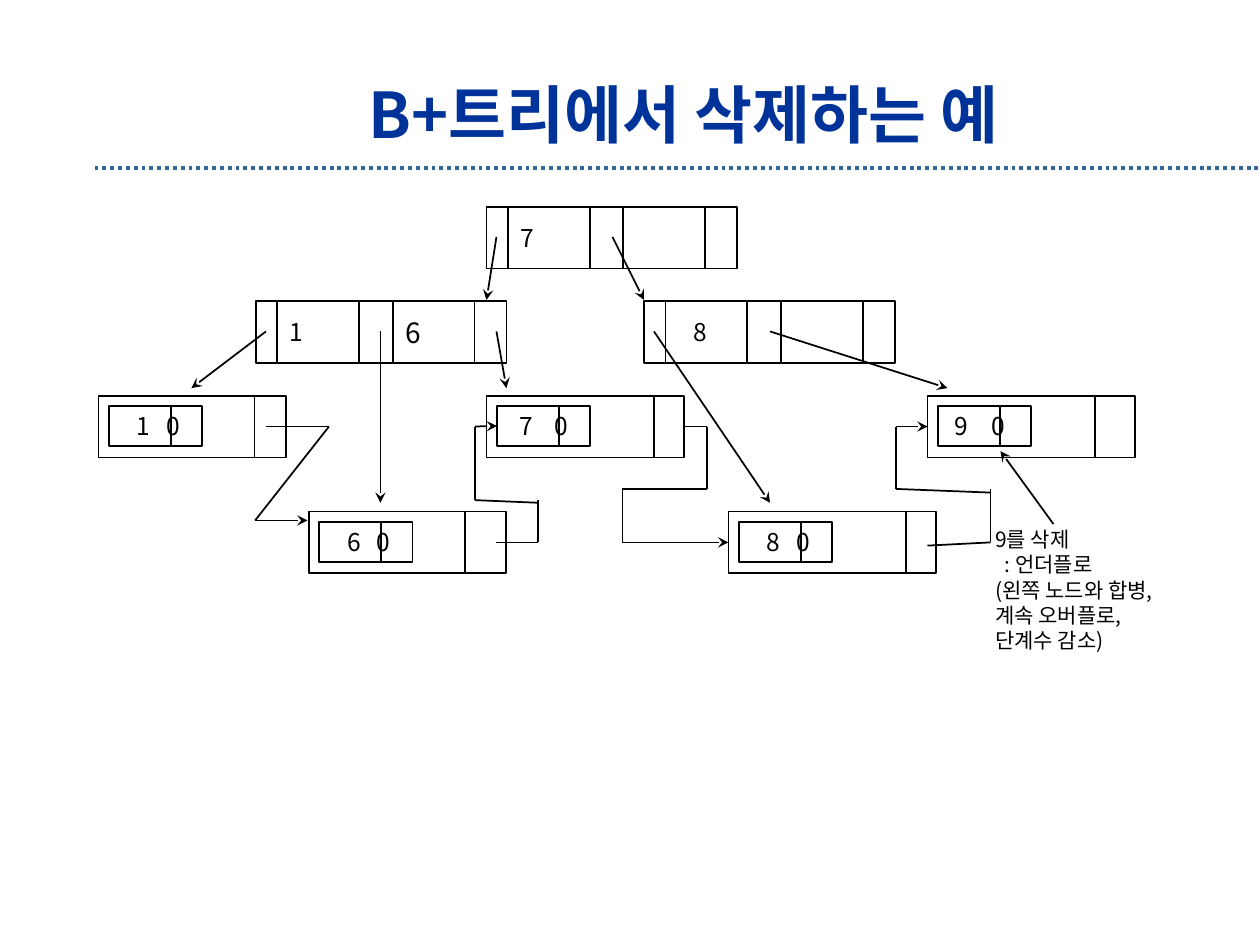
from itertools import pairwise

from lxml import etree
from pptx import Presentation
from pptx import util as u
from pptx.dml import color
from pptx.enum import dml, shapes, text
from pptx.oxml import ns

FONT = "Noto Sans CJK KR"
BLACK, WHITE, TITLE, RULE = "000000", "FFFFFF", "003399", "336699"

# Tops of the tree levels and common sizes
ROOT_Y, INNER_Y, LEAF_Y, LOW_LEAF_Y = 118.1, 172.1, 226.1, 292.3
NODE_H = 35.3
INNER_W, KEY_W = 143.3, 46.8


def rgb(value):
    return color.RGBColor.from_string(value)


def style(p, size, hex_color=BLACK, bold=False):
    for r in p.runs:
        f = r.font
        f.size, f.name, f.bold = u.Pt(size), FONT, bold
        f.color.rgb = rgb(hex_color)
        etree.SubElement(r._r.get_or_add_rPr(), ns.qn("a:ea"), typeface=FONT)


def add_box(s, x, y, w, h):
    sp = s.shapes.add_shape(shapes.MSO_SHAPE.RECTANGLE,
                            u.Pt(x), u.Pt(y), u.Pt(w), u.Pt(h))
    sp.shadow.inherit = False
    sp.fill.solid()
    sp.fill.fore_color.rgb = rgb(WHITE)
    sp.line.color.rgb = rgb(BLACK)
    sp.line.width = u.Pt(1)
    return sp


def add_key(sp, label, size=14, inset=7.2, tab=None):
    tf = sp.text_frame
    tf.text = label
    tf.margin_left, tf.margin_right = u.Pt(inset), 0
    tf.margin_top = tf.margin_bottom = u.Pt(3.6)
    tf.vertical_anchor = text.MSO_ANCHOR.MIDDLE
    p = tf.paragraphs[0]
    p.alignment = text.PP_ALIGN.LEFT
    if tab:
        tabs = etree.SubElement(p._p.get_or_add_pPr(), ns.qn("a:tabLst"))
        etree.SubElement(tabs, ns.qn("a:tab"), pos=str(u.Pt(tab)), algn="l")
    style(p, size)


def add_line(s, start, end, hex_color=BLACK, width=1, arrow=False):
    c = s.shapes.add_connector(shapes.MSO_CONNECTOR.STRAIGHT,
                               *(u.Pt(v) for v in (*start, *end)))
    c.line.color.rgb = rgb(hex_color)
    c.line.width = u.Pt(width)
    if arrow:
        etree.SubElement(c.line._get_or_add_ln(), ns.qn("a:tailEnd"), type="stealth")
    etree.SubElement(c._element.spPr, ns.qn("a:effectLst"))
    return c


def add_chain(s, *points, arrow=False, source=None, target=None):
    """Straight segments through the points; source and target are (shape, side)."""
    segments = list(pairwise(points))
    lines = [add_line(s, a, b, arrow=arrow and i == len(segments))
             for i, (a, b) in enumerate(segments, 1)]
    if source:
        lines[0].begin_connect(*source)
    if target:
        lines[-1].end_connect(*target)


def add_inner_node(s, x, y, keys):
    add_box(s, x, y, INNER_W, NODE_H)
    for i, (label, size, inset) in enumerate(keys):
        key = add_box(s, x + 12.2 + 66 * i, y, KEY_W, NODE_H)
        if label:
            add_key(key, label, size, inset)


def add_leaf(s, x, y, w, divider, label, inset, tab):
    leaf = add_box(s, x, y, w, NODE_H)
    record = add_box(s, x + 6, y + 5.8, 53.3, 23)
    add_key(record, label, inset=inset, tab=tab)
    for dx, dy, h in ((divider, -0.5, 36), (41.4, 5.5, 24)):
        add_line(s, (x + dx, y + dy), (x + dx, y + dy + h))
    return leaf, record


def add_title(s, label):
    sp = s.shapes.title
    sp.left, sp.top, sp.width, sp.height = (u.Pt(v) for v in (134.6, 39.6, 512, 50.4))
    tf = sp.text_frame
    tf.text = label
    tf.word_wrap = True
    tf.vertical_anchor = text.MSO_ANCHOR.MIDDLE
    tf.paragraphs[0].alignment = text.PP_ALIGN.CENTER
    style(tf.paragraphs[0], 36, TITLE, bold=True)


def add_note(s, lines):
    sp = s.shapes.add_textbox(u.Pt(561.6), u.Pt(297.4), u.Pt(112.3), u.Pt(79.2))
    tf = sp.text_frame
    tf.text = "\n".join(lines)
    tf.word_wrap = False
    tf.auto_size = text.MSO_AUTO_SIZE.SHAPE_TO_FIT_TEXT
    for p in tf.paragraphs:
        style(p, 12)
    tf.paragraphs[1]._p.get_or_add_pPr().set("marL", str(u.Pt(5.4)))


def main():
    prs = Presentation()
    prs.slide_width, prs.slide_height = u.Pt(720), u.Pt(540)
    s = prs.slides.add_slide(prs.slide_layouts[5])

    # Title and dotted rule
    add_title(s, "B+트리에서 삭제하는 예")
    rule = add_line(s, (54, 95.8), (720, 95.8), RULE, 2.25)
    rule.line.dash_style = dml.MSO_LINE.ROUND_DOT

    # Root and inner nodes
    empty = ("", 14, 7.2)
    add_inner_node(s, 278, ROOT_Y, [("7", 14, 7.2), empty])
    add_inner_node(s, 146.2, INNER_Y, [("1", 14, 7.2), ("6", 16, 7.2)])
    add_inner_node(s, 368, INNER_Y, [("8", 14, 16), empty])

    # Leaves
    add_leaf(s, 56.2, LEAF_Y, 107.3, 89.3, "1\t0", 16, 17)
    add_leaf(s, 176.4, LOW_LEAF_Y, 113, 89.3, "6\t0", 16, 17)
    leaf_70, record_70 = add_leaf(s, 278, LEAF_Y, 113, 95.8, "7\t0", 13, 20)
    leaf_80, _ = add_leaf(s, 416.2, LOW_LEAF_Y, 118.8, 101.5, "8\t0", 16, 17)
    leaf_90, _ = add_leaf(s, 530, LEAF_Y, 118.8, 95.8, "9\t0", 9.5, 21)

    # Child pointers, and the pointer from the note to the deleted key
    for start, end in (
        ((283.7, 135.4), (278, 171.4)),
        ((350, 135.4), (368, 171.4)),
        ((152, 189.4), (109.4, 221.8)),
        ((217.4, 189.4), (217.4, 287.3)),
        ((283.7, 189.4), (289.4, 221.8)),
        ((373.7, 189.4), (440, 287.3)),
        ((440, 189.4), (541.4, 221.8)),
        ((602, 299.5), (571.7, 257.8)),
    ):
        add_line(s, start, end, arrow=True)

    # Links between neighbouring leaves
    mid, low_mid = LEAF_Y + NODE_H / 2, LOW_LEAF_Y + NODE_H / 2
    add_chain(s, (152, mid), (188, mid), (145.8, 297.4), (175.7, 297.4), arrow=True)
    add_chain(s, (283.7, low_mid), (307.4, low_mid), (307.4, 285.8))
    add_chain(s, (307.4, 287.3), (271.4, 285.8), (271.4, mid), (284, mid),
              arrow=True, target=(record_70, 1))
    add_chain(s, (391, mid), (404, mid), (404, 279.4), (355.7, 279.4),
              (355.7, low_mid), (416.2, low_mid),
              arrow=True, source=(leaf_70, 3), target=(leaf_80, 1))
    add_chain(s, (530, 311.8), (566, low_mid), (566, 279.4))
    add_chain(s, (566, 281.5), (512, 279.4), (512, mid), (530, mid),
              arrow=True, target=(leaf_90, 1))

    # Note on the deletion
    add_note(s, ["9를 삭제", ": 언더플로", "(왼쪽 노드와 합병,",
                 "계속 오버플로,", "단계수 감소)"])

    prs.save("out.pptx")


if __name__ == "__main__":
    main()
